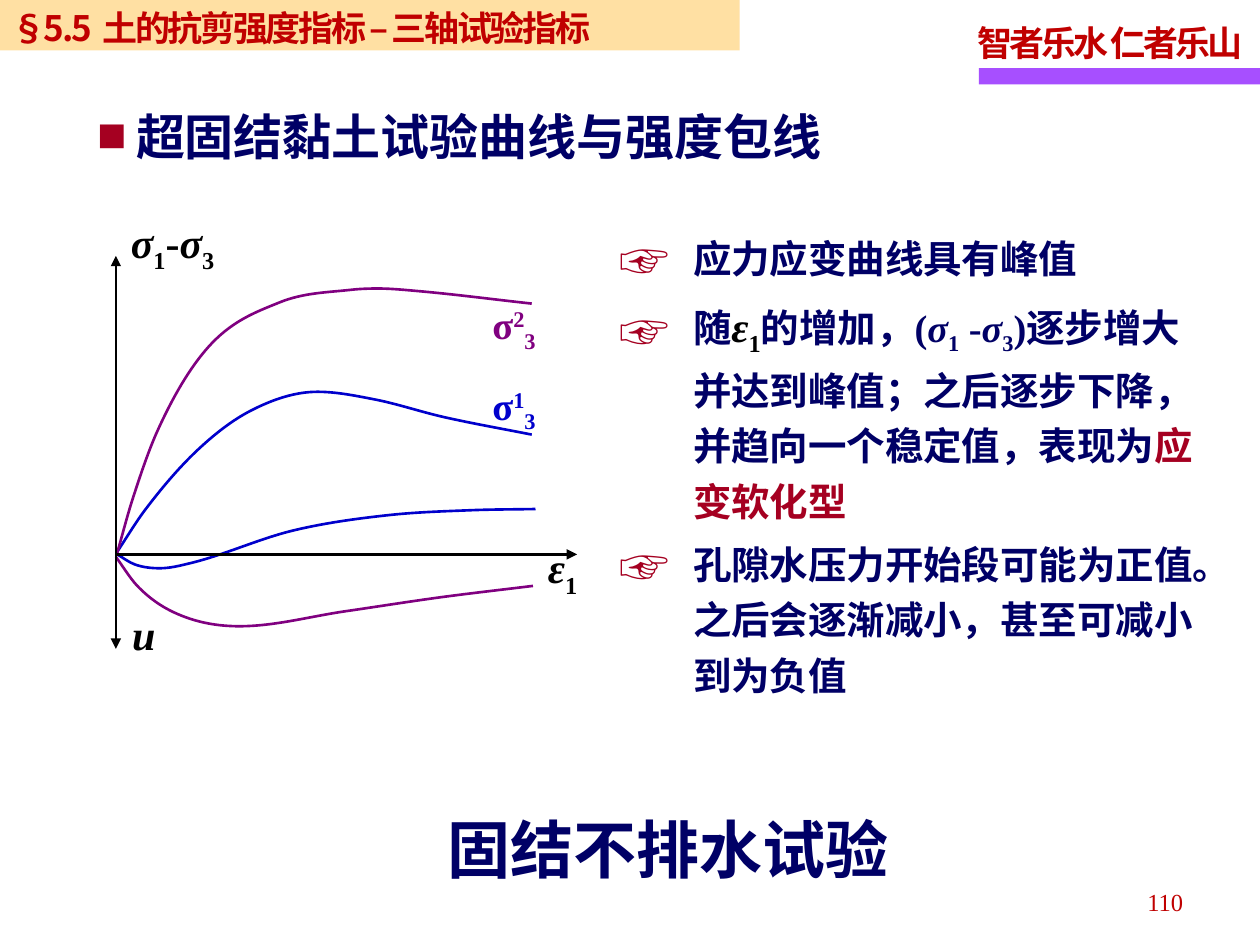
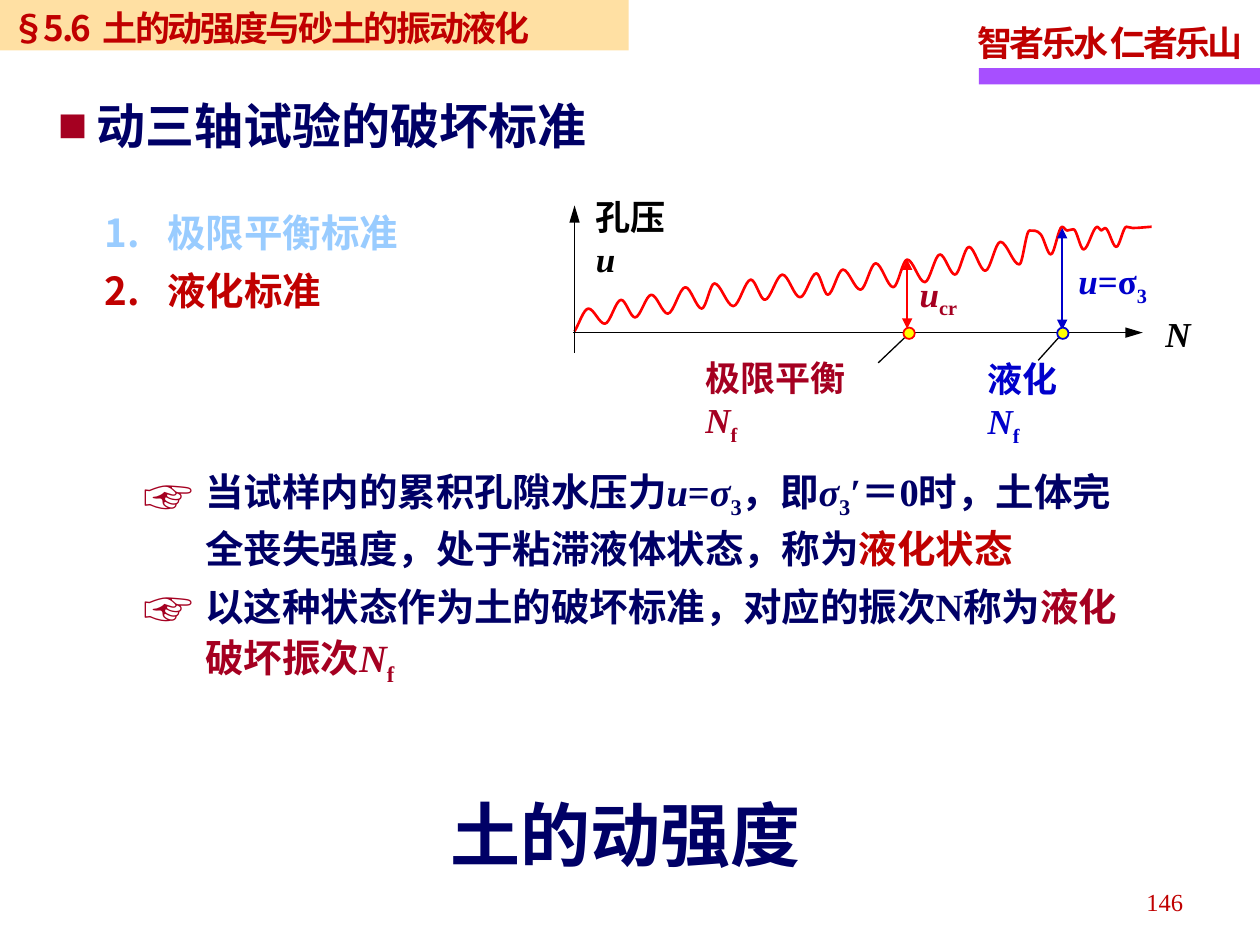
from dataclasses import dataclass
from typing import NamedTuple, Optional

from lxml import etree
from pptx import Presentation
from pptx import util as u
from pptx.dml import color as dml
from pptx.enum import shapes, text
from pptx.oxml import ns

COLUMNS, ROWS = 100, 75
SLIDE_W, SLIDE_H = u.Inches(10), u.Inches(7.5)
SERIF, SANS = "Times New Roman", "Noto Sans CJK SC"
NAVY, BLUE, PURPLE = "000066", "0000CC", "800080"
CRIMSON, RED, BRIGHT, PALE = "A50021", "C00000", "FF0000", "99CCFF"
BLACK, YELLOW, VIOLET, SAND = "000000", "FFFF00", "A74FFF", "FFCC66"
LEFT, CENTER, RIGHT = text.PP_ALIGN.LEFT, text.PP_ALIGN.CENTER, text.PP_ALIGN.RIGHT
TOP, MIDDLE = text.MSO_ANCHOR.TOP, text.MSO_ANCHOR.MIDDLE


class Cell(NamedTuple):
    col: float
    row: float
    cols: float
    rows: float


class Run(NamedTuple):
    text: str
    italic: bool = False
    base: int = 0
    color: Optional[str] = None
    size: Optional[float] = None
    tracking: Optional[float] = None


@dataclass
class Style:
    size: float
    color: str
    font: str = SERIF
    bold: bool = True
    align: int = LEFT
    anchor: int = TOP
    margins: tuple = (0, 0)
    line: float = 1.0
    before: float = 0
    after: float = 0
    tracking: float = 0
    bullet: str = ""
    indent: float = 0
    wrap: bool = True


class Label(NamedTuple):
    cell: Cell
    runs: list
    size: float
    color: str


class Line(NamedTuple):
    start: tuple
    end: tuple
    color: str = BLACK
    width: float = 1
    ends: tuple = ("tail",)
    head_length: str = "med"


class Curve(NamedTuple):
    color: str
    knots: list


def x(cols: float) -> int:
    return round(SLIDE_W * cols / COLUMNS)


def y(rows: float) -> int:
    return round(SLIDE_H * rows / ROWS)


def box(cell: Cell) -> tuple:
    return x(cell.col), y(cell.row), x(cell.cols), y(cell.rows)


def rgb(value: str) -> dml.RGBColor:
    return dml.RGBColor.from_string(value)


def child(parent, tag: str, **attributes):
    return etree.SubElement(parent, ns.qn(tag), attributes)


def symbol(name: str, index: str, italic: bool = True, **look) -> list:
    return [Run(name, italic, **look), Run(index, base=-25, **look)]


def add_bullet(paragraph, style: Style) -> None:
    props = paragraph._p.get_or_add_pPr()
    props.set("marL", str(x(style.indent)))
    props.set("indent", str(-x(style.indent)))
    if style.bullet == "1.":
        child(props, "a:buFont", typeface=SANS)
        child(props, "a:buAutoNum", type="arabicPeriod")
    elif style.bullet:
        pointing = style.bullet == "☞"
        child(child(props, "a:buClr"), "a:srgbClr", val=CRIMSON)
        child(props, "a:buSzPct", val="130000" if pointing else "100000")
        child(props, "a:buFont", typeface=SANS if pointing else SERIF)
        child(props, "a:buChar", char=style.bullet)
    else:
        child(props, "a:buNone")


def format_run(run, part: Run, style: Style) -> None:
    font = run.font
    font.name, font.bold, font.italic = style.font, style.bold, part.italic
    font.size = u.Pt(part.size or style.size)
    font.color.rgb = rgb(part.color or style.color)
    props = run._r.get_or_add_rPr()
    child(props, "a:ea", typeface=SANS)
    if part.base:
        props.set("baseline", str(part.base * 1000))
    tracking = style.tracking if part.tracking is None else part.tracking
    if tracking:
        props.set("spc", str(round(tracking * 100)))


def write(frame, paragraphs: list, style: Style) -> None:
    frame.auto_size = text.MSO_AUTO_SIZE.NONE
    frame.word_wrap = style.wrap
    frame.vertical_anchor = style.anchor
    frame.margin_left = frame.margin_right = x(style.margins[0])
    frame.margin_top = frame.margin_bottom = y(style.margins[1])
    for index, parts in enumerate(paragraphs):
        paragraph = frame.add_paragraph() if index else frame.paragraphs[0]
        paragraph.alignment = style.align
        paragraph.line_spacing = style.line
        paragraph.space_before = u.Pt(style.before if index else 0)
        paragraph.space_after = u.Pt(style.after)
        add_bullet(paragraph, style)
        for part in parts:
            if part.text == "\v":
                paragraph.add_line_break()
                continue
            run = paragraph.add_run()
            run.text = part.text
            format_run(run, part, style)


def add_text(slide, cell: Cell, paragraphs: list, style: Style) -> None:
    write(slide.shapes.add_textbox(*box(cell)).text_frame, paragraphs, style)


def fill_placeholder(holder, cell: Cell, paragraphs: list, style: Style) -> None:
    holder.left, holder.top, holder.width, holder.height = box(cell)
    write(holder.text_frame, paragraphs, style)


def add_shape(slide, kind: int, cell: Cell, fill: str, outline: Optional[str] = None):
    shape = slide.shapes.add_shape(kind, *box(cell))
    shape.shadow.inherit = False
    shape.fill.solid()
    shape.fill.fore_color.rgb = rgb(fill)
    if outline:
        shape.line.color.rgb = rgb(outline)
        shape.line.width = u.Pt(1)
    else:
        shape.line.fill.background()
    return shape


def add_line(slide, line: Line) -> None:
    (x1, y1), (x2, y2) = line.start, line.end
    connector = slide.shapes.add_connector(
        shapes.MSO_CONNECTOR.STRAIGHT, x(x1), y(y1), x(x2), y(y2))
    connector.line.color.rgb = rgb(line.color)
    connector.line.width = u.Pt(line.width)
    outline = connector.line._get_or_add_ln()
    for end in line.ends:
        child(outline, f"a:{end}End", type="triangle", len=line.head_length)
    child(connector._element.spPr, "a:effectLst")


def bend_segments(shape, knots: list) -> None:
    secants = [(b[1] - a[1]) / (b[0] - a[0]) for a, b in zip(knots, knots[1:])]
    inner = [(p + q) / 2 if p * q > 0 else 0 for p, q in zip(secants, secants[1:])]
    slopes = [secants[0], *inner, secants[-1]]
    segments = list(shape._element.iter(ns.qn("a:lnTo")))
    for index, segment in enumerate(segments):
        (x0, y0), (x1, y1) = knots[index:index + 2]
        third = (x1 - x0) / 3
        controls = [(x0 + third, y0 + third * slopes[index]),
                    (x1 - third, y1 - third * slopes[index + 1]), (x1, y1)]
        segment.clear()
        bend = etree.Element(ns.qn("a:cubicBezTo"))
        for px, py in controls:
            child(bend, "a:pt", x=str(x(px) - shape.left), y=str(y(py) - shape.top))
        segment.getparent().replace(segment, bend)


def add_curve(slide, curve: Curve) -> None:
    start, *rest = [(x(px), y(py)) for px, py in curve.knots]
    builder = slide.shapes.build_freeform(*start)
    builder.add_line_segments(rest, close=False)
    shape = builder.convert_to_shape()
    bend_segments(shape, curve.knots)
    shape.shadow.inherit = False
    shape.fill.background()
    shape.line.color.rgb = rgb(curve.color)
    shape.line.width = u.Pt(1.5)


def add_diagram(slide, curves: list, lines: list, labels: list) -> None:
    for curve in curves:
        add_curve(slide, curve)
    for line in lines:
        add_line(slide, line)
    for label in labels:
        add_text(slide, label.cell, [label.runs],
                 Style(label.size, label.color, margins=(1, 0.5), wrap=False))


def add_frame(slide, section: str, topic: str, band_cols: float, number: str) -> None:
    rectangle = shapes.MSO_SHAPE.RECTANGLE
    add_shape(slide, rectangle, Cell(77.7, 5.4, 22.3, 1.3), VIOLET)
    add_text(slide, Cell(76.6, 0.7, 23.6, 4.9), [[Run("智者乐水 仁者乐山")]],
             Style(20, RED, margins=(1, 0.5), line=1.15, tracking=-1.7, wrap=False))
    band = add_shape(slide, rectangle, Cell(-0.1, 0, band_cols, 4), SAND)
    child(band.fill._xPr.find(f".//{ns.qn('a:srgbClr')}"), "a:alpha", val="60000")
    write(band.text_frame, [[Run(section), Run(" ", tracking=1.7), Run(topic)]],
          Style(20, RED, SANS, margins=(1, 0.5), tracking=-1.4))
    add_text(slide, Cell(71.6, 69.6, 23.3, 4), [[Run(number)]],
             Style(14, RED, bold=False, align=RIGHT, margins=(1, 0.5), line=1.15))


HEADING = Style(28, NAVY, SANS, anchor=MIDDLE, bullet="■", indent=3.1)


def build_undrained_test(prs) -> None:
    slide = prs.slides.add_slide(prs.slide_layouts[1])
    add_frame(slide, "§5.5", "土的抗剪强度指标 – 三轴试验指标", 58.8, "110")
    heading, points = slide.placeholders
    fill_placeholder(heading, Cell(7.7, 8.4, 62.5, 4.7),
                     [[Run("超固结黏土试验曲线与强度包线")]], HEADING)
    fill_placeholder(points, Cell(49.2, 17.9, 47.3, 37.5), [
        [Run("应力应变曲线具有峰值")],
        [Run("随"), *symbol("ε", "1", color=BLACK, size=24), Run("的增加，("),
         *symbol("σ", "1"), Run(" -"), *symbol("σ", "3"),
         Run(")逐步增大并达到峰值；之后逐步下降，并趋向一个稳定值，表现为"),
         Run("应变软化型", color=CRIMSON)],
        [Run("孔隙水压力开始段可能为正值。之后会逐渐减小，甚至可减小到为负值")],
    ], Style(22, NAVY, line=1.2, before=2.2, after=2.2, bullet="☞", indent=5.8))
    curves = [
        Curve(BLUE, [(9.3, 43.8), (11.5, 40.5), (15.6, 35.8), (19.9, 32.6), (25.2, 31.1),
                     (29.7, 31.7), (35.2, 33.1), (42.2, 34.5)]),
        Curve(BLUE, [(9.3, 44), (10.7, 44.8), (12.7, 45.1), (15.1, 44.7), (23.3, 42.1),
                     (30.7, 40.9), (37.3, 40.5), (42.5, 40.4)]),
        Curve(PURPLE, [(9.3, 43.9), (10.5, 39.7), (12.5, 34.2), (16.4, 27.7), (22.2, 24),
                       (27.9, 23), (30, 22.9), (33.1, 23.1), (42.2, 24.1)]),
        Curve(PURPLE, [(9.2, 44.2), (10.9, 46.5), (13.8, 48.6), (19, 49.7), (27.5, 48.5),
                       (35, 47.4), (42.3, 46.5)]),
    ]
    axes = [Line((9.2, 20.3), (9.2, 51.5), width=1.5, ends=("head", "tail")),
            Line((9.2, 44), (45.8, 44), width=1.5)]
    labels = [
        Label(Cell(9.4, 16.7, 9.4, 5.1), [*symbol("σ", "1"), Run("-"), *symbol("σ", "3")],
              24, BLACK),
        Label(Cell(42.5, 42.5, 4.6, 5.1), symbol("ε", "1"), 24, BLACK),
        Label(Cell(9.5, 47.8, 3.9, 5.1), [Run("u", True)], 24, BLACK),
    ]
    for row, stage, color in ((29.8, "1", BLUE), (23.4, "2", PURPLE)):
        labels.append(Label(Cell(38.1, row, 6, 4.7),
                            [Run("σ"), Run(stage, base=30), Run("3", base=-25)], 22, color))
    add_diagram(slide, curves, axes, labels)
    add_text(slide, Cell(35.5, 64.3, 45.3, 6), [[Run("固结不排水试验")]],
             Style(36, NAVY, SANS, anchor=MIDDLE))


def build_dynamic_strength(prs) -> None:
    slide = prs.slides.add_slide(prs.slide_layouts[3])
    add_frame(slide, "§5.6", "土的动强度与砂土的振动液化", 50, "146")
    heading, criteria, points = slide.placeholders
    fill_placeholder(heading, Cell(4.6, 7.6, 55.3, 4.7), [[Run("动三轴试验的破坏标准")]], HEADING)
    fill_placeholder(criteria, Cell(7.1, 15.1, 29.8, 10.4),
                     [[Run("极限平衡标准", color=PALE)], [Run("液化标准")]],
                     Style(22, RED, SANS, margins=(1.2, 0.6), line=1.25, bullet="1.", indent=5))
    fill_placeholder(points, Cell(11.4, 36.7, 78.6, 16.9), [
        [Run("当试样内的累积孔隙水压力"), Run("u", True), Run("="), *symbol("σ", "3"),
         Run("，即"), *symbol("σ", "3"),
         Run("′＝0时，土体完全丧失强度，处于粘滞液体状态，称为"), Run("液化状态", color=RED)],
        [Run("以这种状态作为土的破坏标准，对应的振次N称为"),
         Run("液化破坏振次", color=CRIMSON), *symbol("N", "f", color=CRIMSON)],
    ], Style(22, NAVY, line=1.1, before=2, after=2, bullet="☞", indent=4.9))
    pore_pressure = Curve(BRIGHT, [
        (45.6, 26.3), (46.7, 24.5), (48, 25.7), (49.3, 23.8), (50.4, 25.2), (51.7, 23.4),
        (53, 24.9), (54.4, 22.8), (55.7, 24.5), (56.7, 22.5), (58.2, 24.3), (59.6, 22.2),
        (60.7, 23.8), (62.1, 21.8), (63.5, 23.6), (64.8, 21.7), (65.7, 23.4), (66.9, 21.4),
        (68.3, 23), (69.5, 20.9), (70.9, 22.8), (72, 20.6), (73.4, 22.4), (74.6, 20.2),
        (75.8, 21.8), (76.9, 19.6), (78.2, 21.5), (79.4, 19.2), (80.9, 21), (81.7, 18.3),
        (82.6, 18.6), (83.4, 20.2), (84.3, 18), (84.7, 18.3), (85.2, 18.2), (86, 19.8),
        (87.1, 18), (87.4, 18.3), (87.7, 18.1), (88.6, 19.6), (89.4, 18), (89.9, 18.1),
        (91.4, 18)])
    both = ("head", "tail")
    lines = [Line((45.5, 26.4), (90.7, 26.4), head_length="lg"),
             Line((45.6, 28), (45.6, 16.3), head_length="lg"),
             Line((84.3, 18.1), (84.3, 26.2), BLUE, ends=both),
             Line((72, 26.1), (72, 20.6), BRIGHT, ends=both),
             Line((84.2, 26.6), (82.4, 28.6), width=0.75, ends=()),
             Line((71.8, 26.8), (69.7, 28.8), width=0.75, ends=())]
    line_break = Run("\v")
    labels = [
        Label(Cell(91.5, 24.3, 4, 4.3), [Run("N", True)], 20, BLACK),
        Label(Cell(46.3, 15, 9.2, 4.4), [Run("孔压"), line_break, Run("u", True)], 20, BLACK),
        Label(Cell(84.6, 20.1, 7.8, 4.4), [Run("u", True), *symbol("=σ", "3", False)], 20, BLUE),
        Label(Cell(72, 21.1, 5.2, 4.4), symbol("u", "cr"), 20, CRIMSON),
        Label(Cell(77.4, 27.9, 10.3, 4.4),
              [Run("液化"), line_break, *symbol("N", "f")], 20, BLUE),
        Label(Cell(55, 27.8, 16, 4.4),
              [Run("极限平衡"), line_break, *symbol("N", "f")], 20, CRIMSON),
    ]
    add_diagram(slide, [pore_pressure], lines, labels)
    for col, outline in ((83.9, BLUE), (71.7, BRIGHT)):
        add_shape(slide, shapes.MSO_SHAPE.OVAL, Cell(col, 26, 0.9, 0.9), YELLOW, outline)
    add_text(slide, Cell(35.6, 62.8, 28.1, 6.7), [[Run("土的动强度")]],
             Style(40, NAVY, SANS, align=CENTER, wrap=False))


def main() -> None:
    prs = Presentation()
    prs.slide_width, prs.slide_height = SLIDE_W, SLIDE_H
    build_undrained_test(prs)
    build_dynamic_strength(prs)
    prs.save("out.pptx")


if __name__ == "__main__":
    main()
